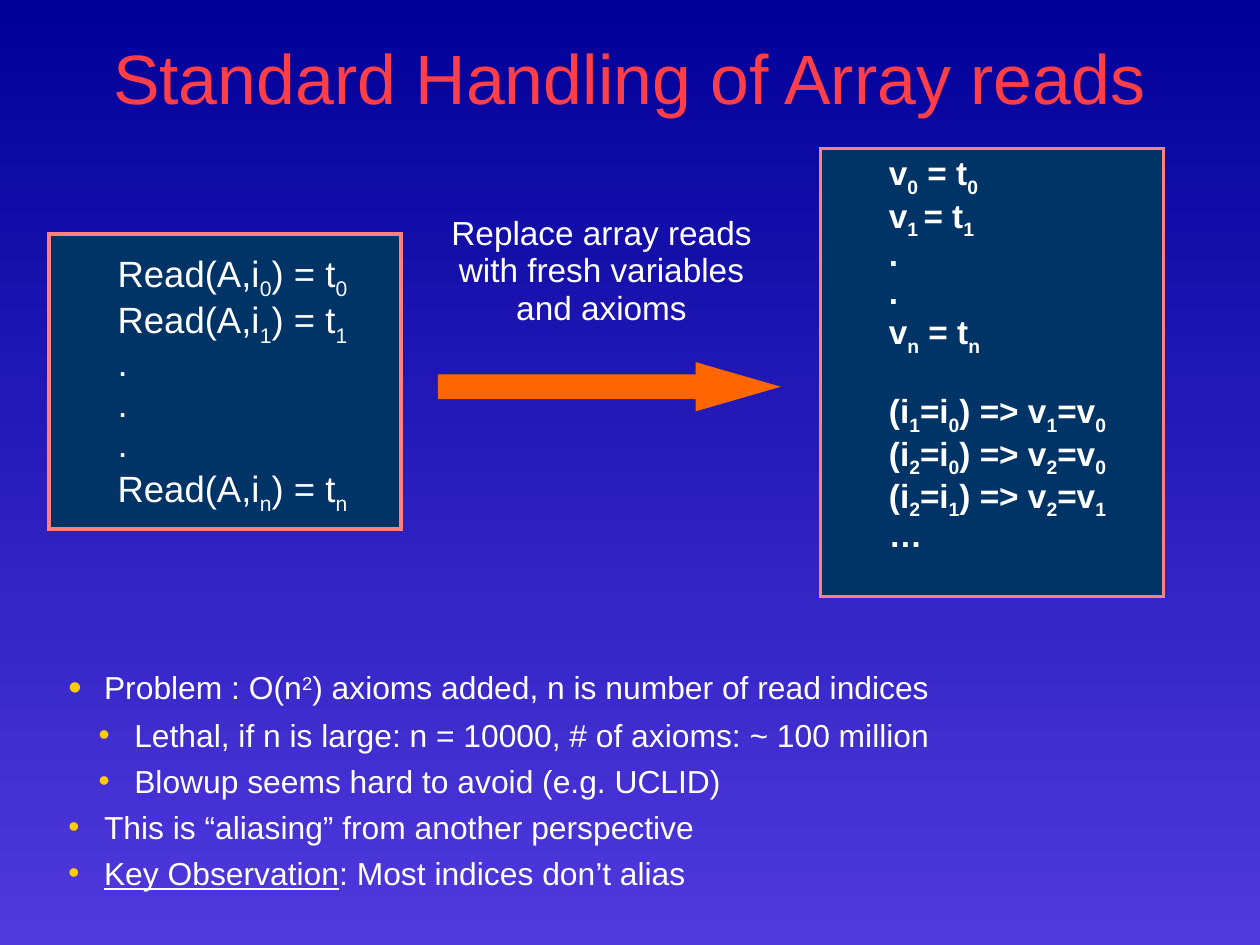
"""Build the slide on the standard handling of array reads."""
from dataclasses import dataclass, field

from lxml.etree import SubElement
from pptx import Presentation
from pptx.dml.color import RGBColor as Rgb
from pptx.enum.shapes import MSO_SHAPE as Preset
from pptx.enum.text import MSO_ANCHOR as Anchor, PP_ALIGN as Align
from pptx.oxml.ns import qn
from pptx.shapes.autoshape import Shape
from pptx.slide import Slide
from pptx.text.text import TextFrame, _Paragraph as Paragraph
from pptx.util import Cm, Inches, Pt

WIDTH, HEIGHT = Cm(28), Cm(21)
COLUMN, ROW = WIDTH / 100, HEIGHT / 100
INDENT = 4.54
COLORS = {
    "sky": "010199", "horizon": "5039DD", "title": "FF3E48", "text": "FFFFFF",
    "bullet": "FFCC00", "panel": "003366", "border": "FF8080", "arrow": "FF6600",
}
SUBSCRIPT = {"baseline": "-25000"}
SUPERSCRIPT = {"baseline": "30000"}
UNDERLINE = {"u": "sng"}


@dataclass(frozen=True)
class Area:
    """A place on the slide grid, in columns and rows."""
    left: float
    top: float
    width: float
    height: float

    def emu(self) -> list[int]:
        """Return the place in slide units."""
        return [round(self.left * COLUMN), round(self.top * ROW),
                round(self.width * COLUMN), round(self.height * ROW)]


@dataclass(frozen=True)
class Line:
    """A paragraph in which braces enclose the marked parts."""
    text: str
    mark: dict[str, str] = field(default_factory=lambda: SUBSCRIPT)
    space: float = 0
    bullet_size: int = 0
    margin: float = 0
    hanging: float = 0


@dataclass(frozen=True)
class Block:
    """Lines of text that share one format."""
    area: Area
    lines: list[Line]
    size: float
    color: str = "text"
    bold: bool = False
    frame: dict = field(default_factory=dict)
    paragraph: dict = field(default_factory=dict)
    panel: bool = False


def apply(target: object, values: dict) -> None:
    """Set each format value on the target."""
    for name, value in values.items():
        setattr(target, name, value)


def rgb(name: str) -> Rgb:
    """Look up a colour by its role."""
    return Rgb.from_string(COLORS[name])


def add_bullet(paragraph: Paragraph, size: int) -> None:
    """Give the paragraph a coloured round bullet."""
    properties = paragraph._p.get_or_add_pPr()
    color = SubElement(properties, qn("a:buClr"))
    SubElement(color, qn("a:srgbClr"), val=COLORS["bullet"])
    SubElement(properties, qn("a:buSzPct"), val=str(size * 1000))
    SubElement(properties, qn("a:buFont"), typeface="Arial")
    SubElement(properties, qn("a:buChar"), char="•")


def write_line(paragraph: Paragraph, line: Line, block: Block) -> None:
    """Write one paragraph with its marked parts."""
    properties = paragraph._p.get_or_add_pPr()
    properties.set("marL", str(round(line.margin * COLUMN)))
    properties.set("indent", str(-round(line.hanging * COLUMN)))
    if line.bullet_size:
        add_bullet(paragraph, line.bullet_size)
    apply(paragraph, {"space_before": Pt(line.space), **block.paragraph})
    for index, part in enumerate(line.text.replace("}", "{").split("{")):
        if not part:
            continue
        run = paragraph.add_run()
        run.text = part
        apply(run.font, {"name": "Arial", "size": Pt(block.size), "bold": block.bold})
        run.font.color.rgb = rgb(block.color)
        if index % 2:
            for name, value in line.mark.items():
                run._r.get_or_add_rPr().set(name, value)


def write_lines(frame: TextFrame, block: Block) -> None:
    """Fill the text frame with the lines of the block."""
    apply(frame, {
        "word_wrap": True, "margin_left": Inches(0.1), "margin_right": Inches(0.1),
        "margin_top": Inches(0.05), "margin_bottom": Inches(0.05), **block.frame,
    })
    for index, line in enumerate(block.lines):
        paragraph = frame.add_paragraph() if index else frame.paragraphs[0]
        write_line(paragraph, line, block)


def draw_preset(slide: Slide, preset: Preset, area: Area, fill: str) -> Shape:
    """Draw a filled shape without line or shadow."""
    shape = slide.shapes.add_shape(preset, *area.emu())
    shape.shadow.inherit = False
    shape.fill.solid()
    shape.fill.fore_color.rgb = rgb(fill)
    shape.line.fill.background()
    return shape


def draw_block(slide: Slide, block: Block) -> None:
    """Draw a block, on a bordered panel if it has one."""
    if block.panel:
        holder = draw_preset(slide, Preset.RECTANGLE, block.area, "panel")
        holder.line.color.rgb = rgb("border")
        holder.line.width = Pt(2.25)
        outline = holder._element.spPr.find(qn("a:ln"))
        SubElement(outline, qn("a:miter"), lim="800000")
    else:
        holder = slide.shapes.add_textbox(*block.area.emu())
    write_lines(holder.text_frame, block)


def formula(text: str, space: float = 0) -> Line:
    """Make an indented formula line."""
    return Line(text, space=space, margin=INDENT)


def point(text: str, level: int = 0, mark: dict[str, str] = UNDERLINE,
          space: float = 5, size: int = 100) -> Line:
    """Make a bullet line at the given level."""
    return Line(text, mark, space, size, 2.83 + 2.4 * level, 2.83)


TIGHT = {"line_spacing": 0.93, "alignment": Align.LEFT}
NO_SIDES = {"margin_left": 0, "margin_right": 0}
BLOCKS = [
    Block(Area(0, 2.06, 100, 12.09), [Line("Standard Handling of Array reads")], 44,
          color="title", paragraph={"alignment": Align.CENTER},
          frame={**NO_SIDES, "margin_top": 0, "margin_bottom": 0,
                 "vertical_anchor": Anchor.MIDDLE}),
    Block(Area(4.54, 70.08, 90, 25), [
        point("Problem : O(n{2}) axioms added, n is number of read indices",
              mark=SUPERSCRIPT, space=0, size=120),
        point("Lethal, if n is large: n = 10000, # of axioms: ~ 100 million",
              level=1, space=6),
        point("Blowup seems hard to avoid (e.g. UCLID)", level=1),
        point("This is “aliasing” from another perspective"),
        point("{Key Observation}: Most indices don’t alias"),
    ], 20),
    Block(Area(3.9, 24.79, 27.95, 31.2), [
        formula(text) for text in (
            "Read(A,i{0}) = t{0}", "Read(A,i{1}) = t{1}", ".", ".", ".",
            "Read(A,i{n}) = t{n}")
    ], 23, panel=True, paragraph=TIGHT, frame={"vertical_anchor": Anchor.MIDDLE}),
    Block(Area(65.12, 15.72, 27.22, 47.4), [
        *map(formula, ("v{0} = t{0}", "v{1 }= t{1}", ".", ".", "v{n} = t{n}")),
        formula("(i{1}=i{0}) => v{1}=v{0}", space=23),
        *map(formula, ("(i{2}=i{0}) => v{2}=v{0}", "(i{2}=i{1}) => v{2}=v{1}", "…")),
    ], 21, bold=True, panel=True, paragraph=TIGHT,
          frame={"vertical_anchor": Anchor.MIDDLE, "margin_bottom": Inches(0.38)}),
    Block(Area(34.9, 22.25, 25.68, 13.06), [
        Line("Replace array reads"), Line("with fresh variables"), Line("and axioms"),
    ], 21, frame=NO_SIDES, paragraph={**TIGHT, "alignment": Align.CENTER}),
]


def main() -> None:
    """Build and save the slide."""
    deck = Presentation()
    apply(deck, {"slide_width": WIDTH, "slide_height": HEIGHT})
    slide = deck.slides.add_slide(deck.slide_layouts[6])
    backdrop = slide.background.fill
    backdrop.gradient()
    backdrop.gradient_angle = 270
    for stop, name in zip(backdrop.gradient_stops, ("sky", "horizon")):
        stop.color.rgb = rgb(name)
    for block in BLOCKS:
        draw_block(slide, block)
    arrow = draw_preset(slide, Preset.RIGHT_ARROW, Area(34.75, 38.33, 27.22, 5.2), "arrow")
    arrow.adjustments[1] = 1.73
    deck.save("out.pptx")


if __name__ == "__main__":
    main()
